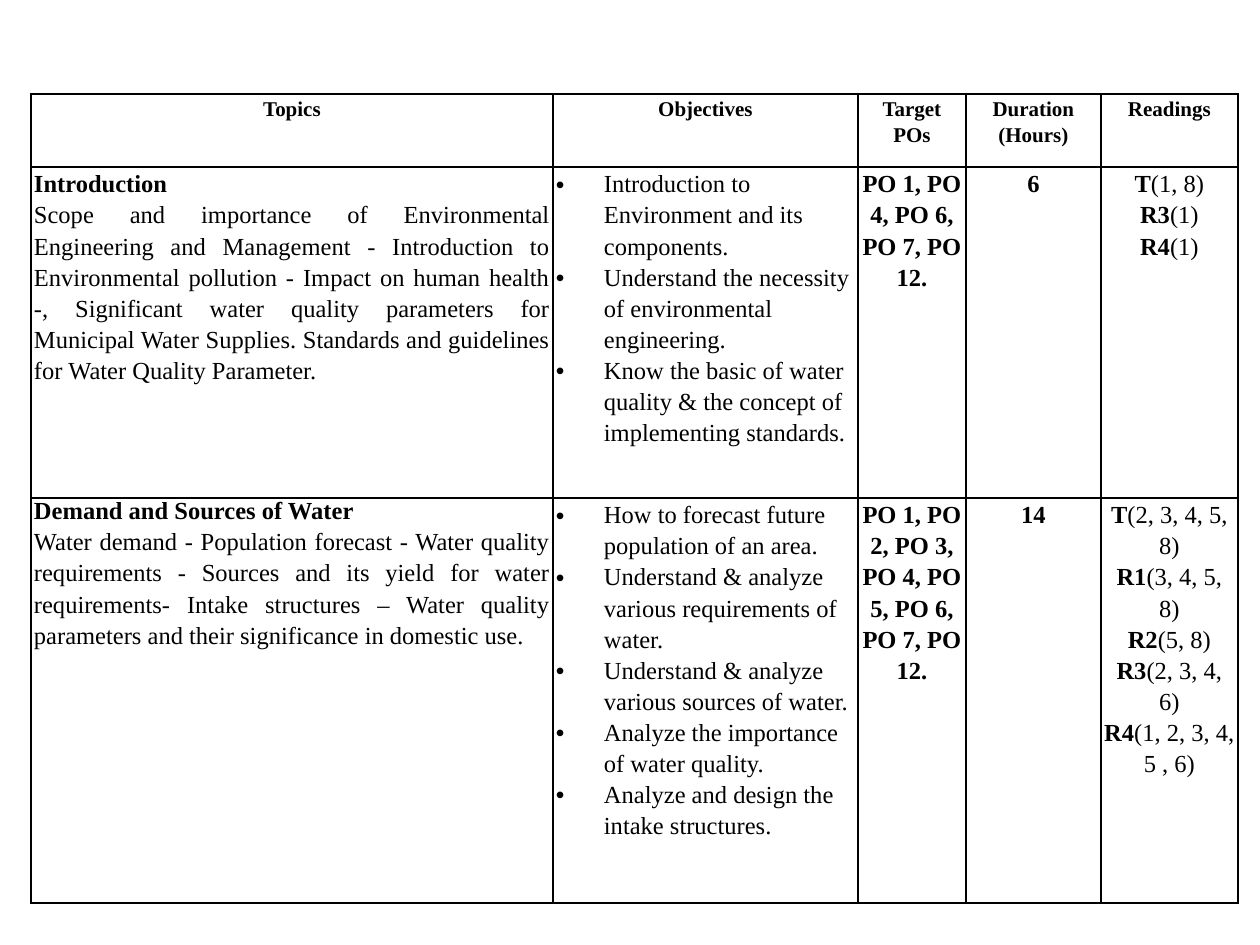
"""Build the course plan slide: one table of topics, objectives and readings."""
from dataclasses import dataclass

from lxml import etree
from pptx import Presentation
from pptx import util as u
from pptx.enum import text
from pptx.dml.color import RGBColor
from pptx.oxml import ns

SCALE = 914400 // 126
COLORS = {"ink": "000000"}
FONT = "Times New Roman"
LEFT, TOP = 31, 94
COLUMNS = (522, 305, 108, 135, 137)
ROWS = (73, 331, 405)
SIDE_MARGIN = 3
BULLET_INDENT = 48
BORDER_WIDTH = u.Pt(1)
ALIGN = text.PP_ALIGN


@dataclass(frozen=True)
class Unit:
    """One teaching unit, a row of the table."""
    title: str
    summary: str
    objectives: tuple[str, ...]
    targets: str
    hours: int
    readings: tuple[tuple[str, str], ...]
    title_spacing: float = 1.15


HEADINGS = (("Topics",), ("Objectives",), ("Target", "POs"),
            ("Duration", "(Hours)"), ("Readings",))
UNITS = (
    Unit(
        "Introduction",
        "Scope and importance of Environmental Engineering and Management - "
        "Introduction to Environmental pollution - Impact on human health -, "
        "Significant water quality parameters for Municipal Water Supplies. "
        "Standards and guidelines for Water Quality Parameter.",
        ("Introduction to Environment and its components.",
         "Understand the necessity of environmental engineering.",
         "Know the basic of water quality & the concept of implementing standards."),
        "PO 1, PO 4, PO 6, PO 7, PO 12.",
        6,
        (("T", "(1, 8)"), ("R3", "(1)"), ("R4", "(1)")),
    ),
    Unit(
        "Demand and Sources of Water",
        "Water demand - Population forecast - Water quality requirements - "
        "Sources and its yield for water requirements- Intake structures – "
        "Water quality parameters and their significance in domestic use.",
        ("How to forecast future population of an area.",
         "Understand & analyze various requirements of water.",
         "Understand & analyze various sources of water.",
         "Analyze the importance of water quality.",
         "Analyze and design the intake structures."),
        "PO 1, PO 2, PO 3, PO 4, PO 5, PO 6, PO 7, PO 12.",
        14,
        (("T", "(2, 3, 4, 5, 8)"), ("R1", "(3, 4, 5, 8)"), ("R2", "(5, 8)"),
         ("R3", "(2, 3, 4, 6)"), ("R4", "(1, 2, 3, 4, 5 , 6)")),
        title_spacing=1.0,
    ),
)


def px(length: int) -> u.Emu:
    """Turn pixels into EMU."""
    return u.Emu(length * SCALE)


def add_bullet(para) -> None:
    """Give a paragraph a hanging bullet."""
    properties = para._p.get_or_add_pPr()
    properties.set("marL", str(px(BULLET_INDENT)))
    properties.set("indent", str(-px(BULLET_INDENT)))
    etree.SubElement(properties, ns.qn("a:buFont")).set("typeface", "Arial")
    etree.SubElement(properties, ns.qn("a:buChar")).set("char", "•")


def write(cell, bold: str = "", plain: str = "", *, size: int = 14,
          align=ALIGN.CENTER, spacing: float = 1.15, bullet: bool = False) -> None:
    """Add one paragraph, a bold part followed by a plain part, to a cell."""
    frame = cell.text_frame
    para = frame.paragraphs[0] if not frame.text else frame.add_paragraph()
    para.alignment = align
    para.line_spacing = spacing
    if bullet:
        add_bullet(para)
    for words, heavy in ((bold, True), (plain, False)):
        if words:
            span = para.add_run()
            span.text = words
            span.font.name = FONT
            span.font.size = u.Pt(size)
            span.font.bold = heavy
            span.font.color.rgb = RGBColor.from_string(COLORS["ink"])


def format_cell(cell) -> None:
    """Set the margins, borders and empty fill of a cell."""
    cell.margin_left = cell.margin_right = px(SIDE_MARGIN)
    cell.margin_top = cell.margin_bottom = 0
    properties = cell._tc.get_or_add_tcPr()
    for side in ("lnL", "lnR", "lnT", "lnB"):
        line = etree.SubElement(properties, ns.qn(f"a:{side}"), w=str(BORDER_WIDTH))
        fill = etree.SubElement(line, ns.qn("a:solidFill"))
        etree.SubElement(fill, ns.qn("a:srgbClr"), val=COLORS["ink"])
    cell.fill.background()


def add_grid(page):
    """Add the empty ruled table."""
    table = page.shapes.add_table(len(ROWS), len(COLUMNS), px(LEFT), px(TOP),
                                  px(sum(COLUMNS)), px(sum(ROWS))).table
    table.first_row = table.horz_banding = False
    for column, width in zip(table.columns, COLUMNS):
        column.width = px(width)
    for row, height in zip(table.rows, ROWS):
        row.height = px(height)
    for cell in table.iter_cells():
        format_cell(cell)
    return table


def fill_unit(cells, unit: Unit) -> None:
    """Write one teaching unit into its row."""
    topic, objectives, targets, duration, readings = cells
    write(topic, unit.title, align=ALIGN.JUSTIFY, spacing=unit.title_spacing)
    write(topic, plain=unit.summary, align=ALIGN.JUSTIFY)
    for objective in unit.objectives:
        write(objectives, plain=objective, align=ALIGN.LEFT, bullet=True)
    write(targets, unit.targets)
    write(duration, str(unit.hours))
    for book, chapters in unit.readings:
        write(readings, book, chapters)


def main() -> None:
    """Build and save the deck."""
    deck = Presentation()
    deck.slide_width, deck.slide_height = u.Inches(10), u.Inches(7.5)
    page = deck.slides.add_slide(deck.slide_layouts[6])
    table = add_grid(page)
    for cell, lines in zip(table.rows[0].cells, HEADINGS):
        for line in lines:
            write(cell, line, size=12)
    for number, unit in enumerate(UNITS, start=1):
        fill_unit(table.rows[number].cells, unit)
    deck.save("out.pptx")


main()
